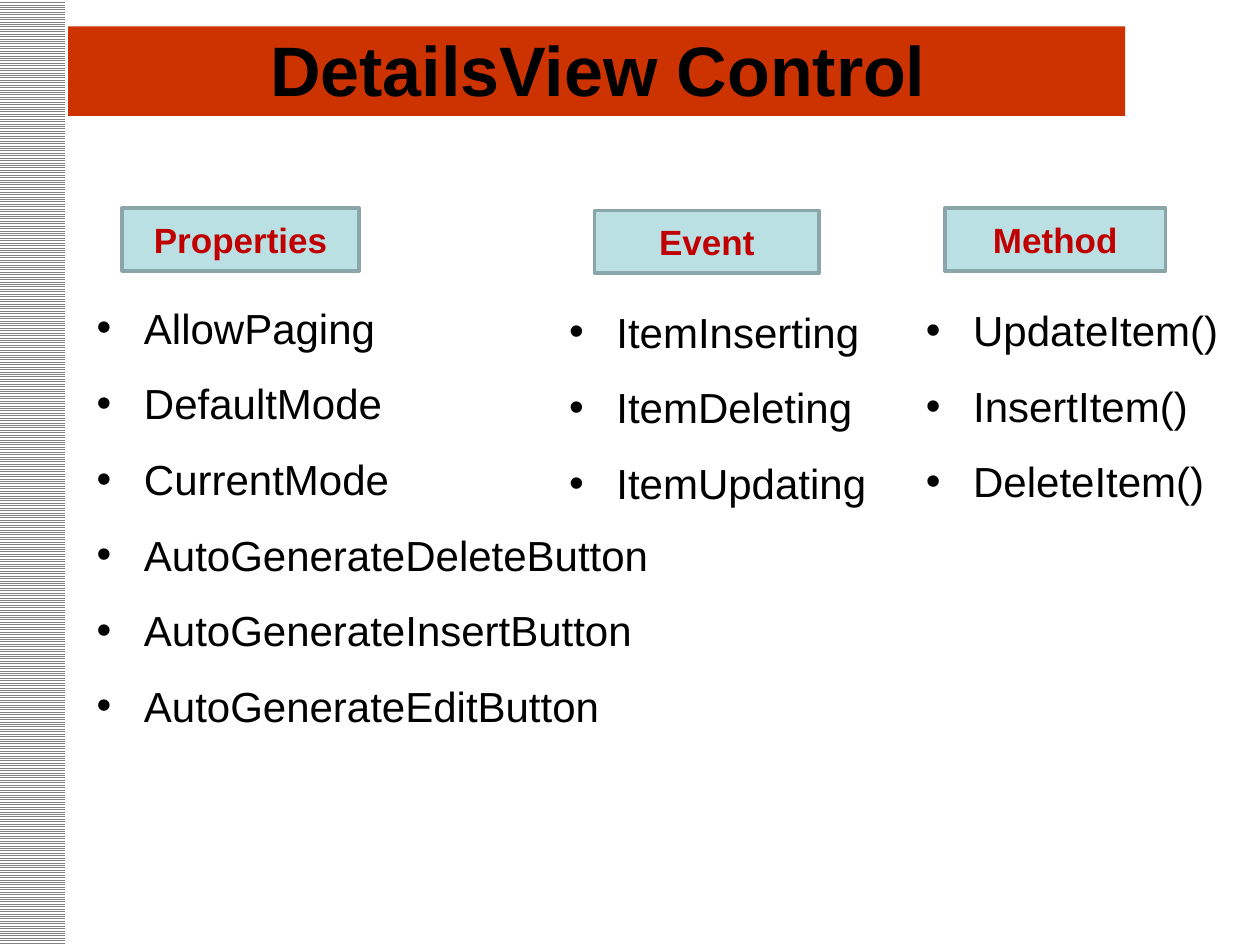
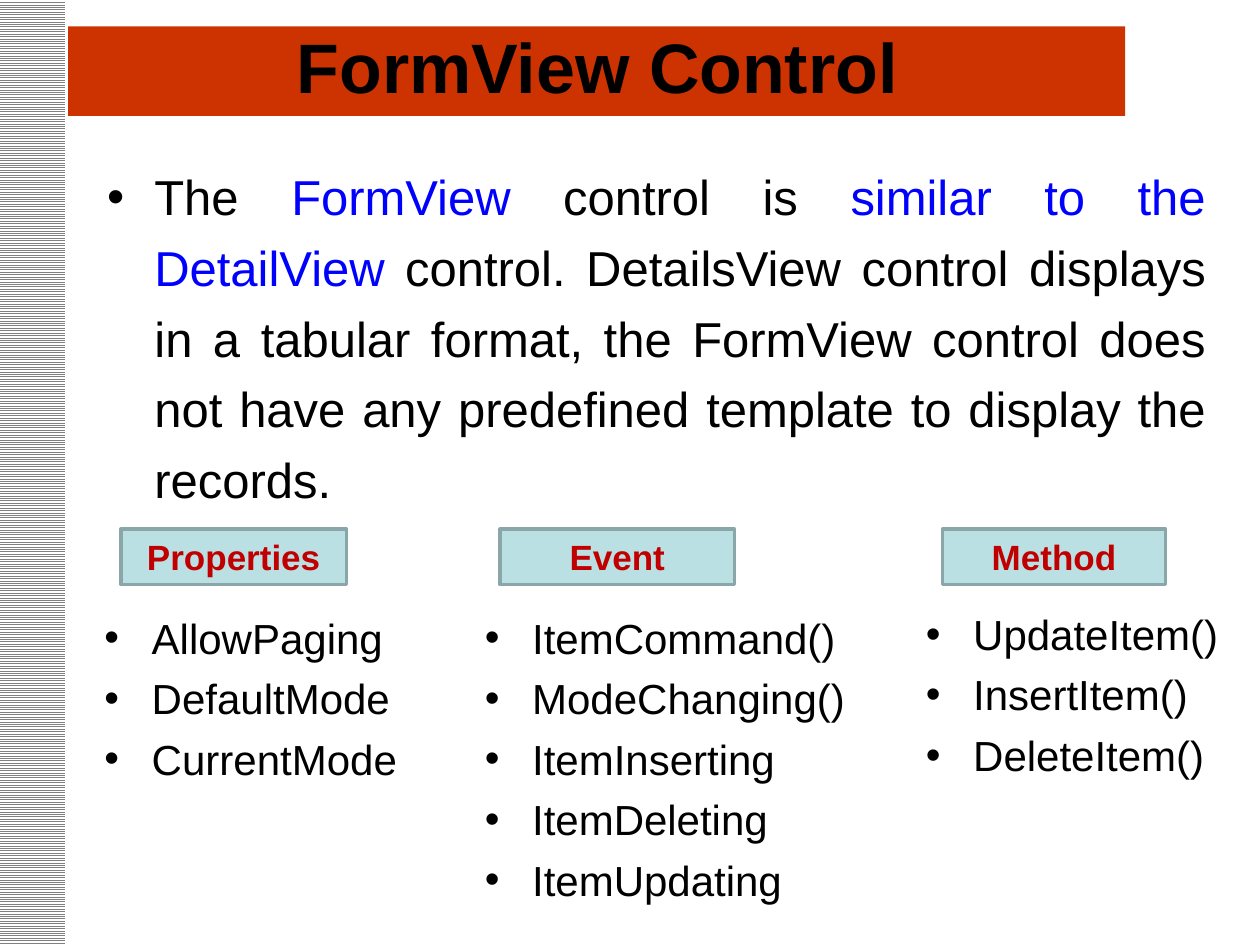
import pptx
import pptx.util
import pptx.dml.color
import pptx.enum.dml
import pptx.enum.shapes
import pptx.enum.text
import pptx.oxml
import pptx.oxml.ns
import lxml.etree

Pt = pptx.util.Pt
RGB = pptx.dml.color.RGBColor.from_string
ALIGN = pptx.enum.text.PP_ALIGN
ANCHOR = pptx.enum.text.MSO_ANCHOR
RECT = pptx.enum.shapes.MSO_SHAPE.RECTANGLE


class Theme:
    font = "Arial"
    ink = RGB("000000")
    band = RGB("CC3300")
    stripe = RGB("808080")
    paper = RGB("FFFFFF")
    box = RGB("BBE0E3")
    edge = RGB("8AA6A8")
    head = RGB("C00000")
    key = RGB("0000FF")
    title_size = Pt(40)
    intro_size = Pt(28)
    list_size = Pt(24)
    head_size = Pt(20)


def style(para, size, color, bold=False):
    for run in para.runs:
        run.font.name = Theme.font
        run.font.size = size
        run.font.bold = bold
        run.font.color.rgb = color


def bullet(para, indent, spacing):
    props = para._p.get_or_add_pPr()
    props.set("marL", str(Pt(indent)))
    props.set("indent", str(-Pt(indent)))
    for tag, name, value in (("a:buFont", "typeface", Theme.font), ("a:buChar", "char", "•")):
        mark = lxml.etree.SubElement(props, pptx.oxml.ns.qn(tag))
        mark.set(name, value)
    para.line_spacing = spacing


# Content: each column has a heading, its box (left, width), list box and items
methods = ["UpdateItem()", "InsertItem()", "DeleteItem()"]
pages = [
    {
        "title": "DetailsView Control", "place": (41.8, 12.2, 599.8, 54),
        "layout": 5, "spacing": 1.5, "height": 36,
        "columns": [
            ("Properties", (69.8, 118.8, 135.4), (48.2, 154.8, 348.5, 271.4),
             ["AllowPaging", "DefaultMode", "CurrentMode", "AutoGenerateDeleteButton",
              "AutoGenerateInsertButton", "AutoGenerateEditButton"]),
            ("Event", (339.8, 120.2, 128.2), (318.2, 157, 216, 167),
             ["ItemInserting", "ItemDeleting", "ItemUpdating"]),
            ("Method", (540, 118.8, 126), (522, 156.2, 192.2, 162), methods),
        ],
    },
    {
        "title": "FormView Control", "place": (34.6, 9.4, 613.4, 56.2),
        "layout": 1, "spacing": 1.2, "height": 31.7,
        "columns": [
            ("Properties", (69.1, 302.4, 128.9), (52.6, 340.6, 193.7, 105.8),
             ["AllowPaging", "DefaultMode", "CurrentMode"]),
            ("Event", (285.8, 302.4, 133.9), (270, 340.6, 252, 175.7),
             ["ItemCommand()", "ModeChanging()", "ItemInserting", "ItemDeleting",
              "ItemUpdating"]),
            ("Method", (538.6, 302.4, 127.4), (522, 338.4, 186.5, 108), methods),
        ],
    },
]
intro = [
    ("The ", Theme.ink),
    ("FormView", Theme.key),
    (" control is ", Theme.ink),
    ("similar to the DetailView ", Theme.key),
    ("control. DetailsView control displays in a tabular format, the FormView control "
     "does not have any predefined template to display the records.", Theme.ink),
]

deck = pptx.Presentation()
deck.slide_width, deck.slide_height = Pt(720), Pt(540)
slides = [deck.slides.add_slide(deck.slide_layouts[page["layout"]]) for page in pages]

# Shared bands, moved to the master behind everything else
tree = deck.slide_master.shapes.element
shapes = slides[0].shapes
band = shapes.add_shape(RECT, Pt(38.9), Pt(15.1), Pt(604.1), Pt(51.1))
band.fill.solid()
band.fill.fore_color.rgb = Theme.band
side = shapes.add_shape(RECT, Pt(0), Pt(0), Pt(37.4), Pt(540))
side.fill.patterned()
side.fill.pattern = pptx.enum.dml.MSO_PATTERN.LIGHT_HORIZONTAL
side.fill.fore_color.rgb = Theme.stripe
side.fill.back_color.rgb = Theme.paper
for spot, shape in enumerate((band, side), start=2):
    shape.line.fill.background()
    shape.shadow.inherit = False
    tree.insert(spot, shape.element)

for slide, page in zip(slides, pages):
    # Title
    title = slide.shapes.title
    title.left, title.top, title.width, title.height = map(Pt, page["place"])
    frame = title.text_frame
    frame.text = page["title"]
    frame.auto_size = pptx.enum.text.MSO_AUTO_SIZE.NONE
    frame.vertical_anchor = ANCHOR.MIDDLE
    frame.paragraphs[0].alignment = ALIGN.CENTER
    style(frame.paragraphs[0], Theme.title_size, Theme.ink, True)

    # Headed lists
    for label, (left, top, width), place, items in page["columns"]:
        head = slide.shapes.add_shape(RECT, Pt(left), Pt(top), Pt(width), Pt(page["height"]))
        head.shadow.inherit = False
        head.fill.solid()
        head.fill.fore_color.rgb = Theme.box
        head.line.color.rgb = Theme.edge
        head.line.width = Pt(2)
        head.text_frame.text = label
        head.text_frame.vertical_anchor = ANCHOR.MIDDLE
        head.text_frame.paragraphs[0].alignment = ALIGN.CENTER
        style(head.text_frame.paragraphs[0], Theme.head_size, Theme.head, True)

        frame = slide.shapes.add_textbox(*map(Pt, place)).text_frame
        frame.word_wrap = True
        frame.text = "\n".join(items)
        for para in frame.paragraphs:
            bullet(para, 27, page["spacing"])
            style(para, Theme.list_size, Theme.ink)

# Introduction on the second slide
body = slides[1].placeholders[1]
body.left, body.top, body.width, body.height = map(Pt, (54, 85, 642.2, 410.4))
frame = body.text_frame
frame.auto_size = pptx.enum.text.MSO_AUTO_SIZE.NONE
para = frame.paragraphs[0]
bullet(para, 27, 1.2)
para.alignment = ALIGN.JUSTIFY
para.space_before, para.space_after = Pt(0), Pt(3)
for words, color in intro:
    para.add_run().text = words
style(para, Theme.intro_size, Theme.ink)
for run, (words, color) in zip(para.runs, intro):
    run.font.color.rgb = color

deck.save("out.pptx")
